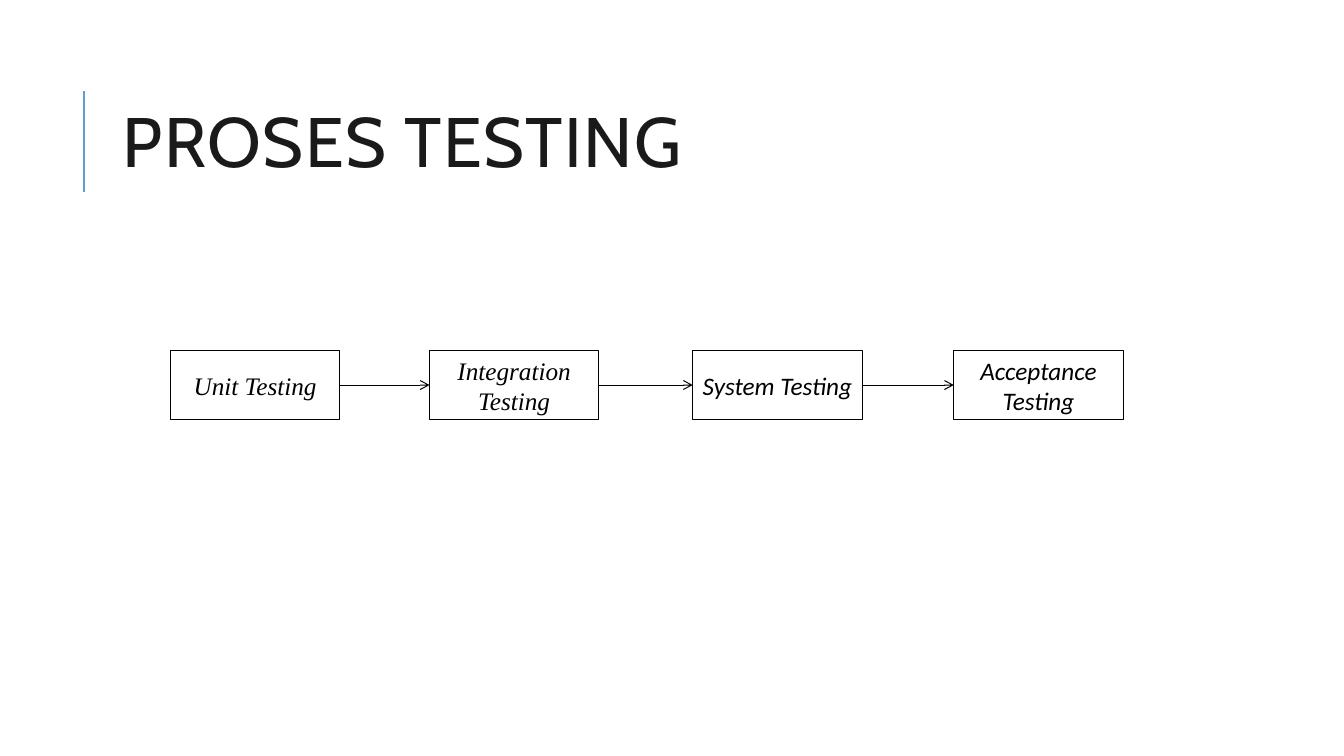
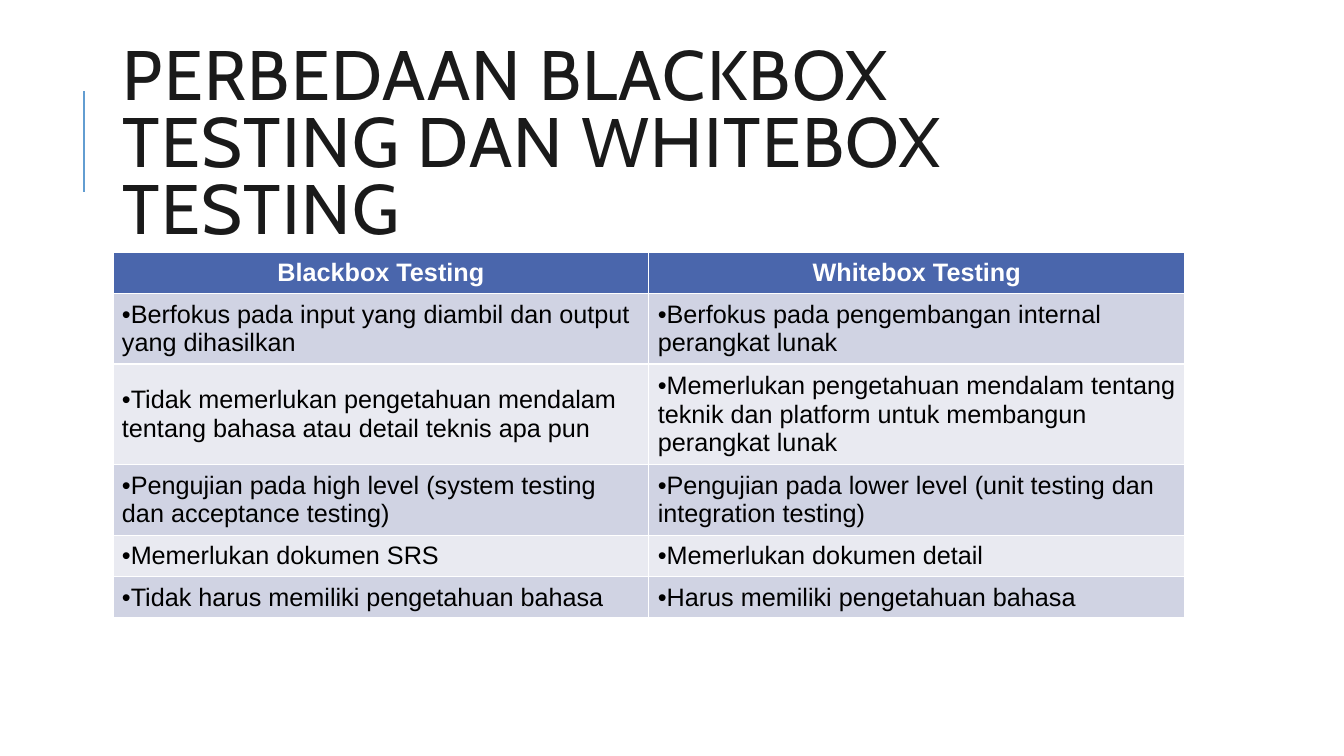
import pptx
import pptx.dml.color
import pptx.enum.shapes
import pptx.enum.text
import pptx.oxml
import pptx.oxml.ns
import pptx.util
import lxml.etree

Inches = pptx.util.Inches
Pt = pptx.util.Pt
MIDDLE = pptx.enum.text.MSO_ANCHOR.MIDDLE
CENTER = pptx.enum.text.PP_ALIGN.CENTER
qn = pptx.oxml.ns.qn

BLACK, WHITE, TITLE_COLOR, ACCENT = "000000", "FFFFFF", "1A1A1A", "629DD1"
HEADER_FILL, ROW_FILLS = "4A66AC", ["E9EAF1", "D0D3E3"]


def rgb(hex_string):
    """Turn a hex string into a colour."""
    return pptx.dml.color.RGBColor.from_string(hex_string)


def add_line(slide, start, end, color, width, arrow=False):
    """Draw a straight line without shadow, with an optional arrowhead at its end."""
    line = slide.shapes.add_connector(
        pptx.enum.shapes.MSO_CONNECTOR.STRAIGHT,
        *[Inches(value) for value in (*start, *end)])
    line.line.color.rgb = rgb(color)
    line.line.width = Pt(width)
    if arrow:
        lxml.etree.SubElement(line.line._get_or_add_ln(), qn("a:tailEnd"), type="arrow")
    lxml.etree.SubElement(line._element.spPr, qn("a:effectLst"))


presentation = pptx.Presentation()
presentation.slide_width = Inches(13.33)
presentation.slide_height = Inches(7.5)

# Accent line and title on every slide
slides = []
for title in ["PROSES TESTING", "PERBEDAAN BLACKBOX TESTING DAN WHITEBOX TESTING"]:
    slide = presentation.slides.add_slide(presentation.slide_layouts[6])
    slides.append(slide)
    add_line(slide, (0.83, 1.9), (0.83, 0.9), ACCENT, 1.5)
    title_box = slide.shapes.add_textbox(Inches(1.12), Inches(0.64), Inches(10.63), Inches(1.64))
    title_frame = title_box.text_frame
    title_frame.word_wrap = True
    title_frame.vertical_anchor = MIDDLE
    title_frame.text = title
    paragraph = title_frame.paragraphs[0]
    paragraph.line_spacing = 0.8
    run = paragraph.runs[0]
    run.font.name = "Cabin"
    run.font.size = Pt(50)
    run.font.color.rgb = rgb(TITLE_COLOR)
    run._r.get_or_add_rPr().set("spc", "100")

process_slide, comparison_slide = slides

# Testing process: four steps joined by arrows
step_top, step_width, step_height = 3.48, 1.68, 0.68
steps = [
    ("Unit Testing", 1.69, "Times New Roman"),
    ("Integration Testing", 4.26, "Times New Roman"),
    ("System Testing", 6.87, "Calibri"),
    ("Acceptance Testing", 9.46, "Calibri"),
]
for label, left, font_name in steps:
    box = process_slide.shapes.add_shape(
        pptx.enum.shapes.MSO_SHAPE.RECTANGLE,
        Inches(left), Inches(step_top), Inches(step_width), Inches(step_height))
    box.shadow.inherit = False
    box.fill.background()
    box.line.color.rgb = rgb(BLACK)
    box.line.width = Pt(0.75)
    frame = box.text_frame
    frame.word_wrap = True
    frame.vertical_anchor = MIDDLE
    frame.margin_left = frame.margin_right = Inches(0.05)
    frame.text = label
    paragraph = frame.paragraphs[0]
    paragraph.alignment = CENTER
    font = paragraph.runs[0].font
    font.name = font_name
    font.size = Pt(18)
    font.italic = True
    font.color.rgb = rgb(BLACK)

arrow_y = step_top + step_height / 2
for (_, left, _), (_, next_left, _) in zip(steps, steps[1:]):
    add_line(process_slide, (left + step_width, arrow_y), (next_left, arrow_y),
             BLACK, 0.75, arrow=True)

# Comparison table
rows = [
    ("Blackbox Testing", "Whitebox Testing"),
    ("Berfokus pada input yang diambil dan output yang dihasilkan",
     "Berfokus pada pengembangan internal perangkat lunak"),
    ("Tidak memerlukan pengetahuan mendalam tentang bahasa atau detail teknis apa pun",
     "Memerlukan pengetahuan mendalam tentang teknik dan platform untuk membangun perangkat lunak"),
    ("Pengujian pada high level (system testing dan acceptance testing)",
     "Pengujian pada lower level (unit testing dan integration testing)"),
    ("Memerlukan dokumen SRS", "Memerlukan dokumen detail"),
    ("Tidak harus memiliki pengetahuan bahasa", "Harus memiliki pengetahuan bahasa"),
]
row_height = 0.41
table = comparison_slide.shapes.add_table(
    len(rows), 2, Inches(1.12), Inches(2.5), Inches(10.63), Inches(row_height * len(rows))).table
for row_index, texts in enumerate(rows):
    is_header = row_index == 0
    for column_index, text in enumerate(texts):
        cell = table.cell(row_index, column_index)
        cell.fill.solid()
        cell.fill.fore_color.rgb = rgb(HEADER_FILL if is_header else ROW_FILLS[row_index % 2])
        cell.vertical_anchor = MIDDLE
        cell.margin_left = cell.margin_right = Inches(0.09)
        cell.margin_top = cell.margin_bottom = Inches(0.05)
        cell.text_frame.text = text
        paragraph = cell.text_frame.paragraphs[0]
        if is_header:
            paragraph.alignment = CENTER
        else:
            properties = paragraph._p.get_or_add_pPr()
            lxml.etree.SubElement(properties, qn("a:buFont"), typeface="Arial")
            lxml.etree.SubElement(properties, qn("a:buChar"), char="•")
        font = paragraph.runs[0].font
        font.name = "Arial"
        font.size = Pt(18)
        font.bold = is_header
        font.color.rgb = rgb(WHITE if is_header else BLACK)

presentation.save("out.pptx")
